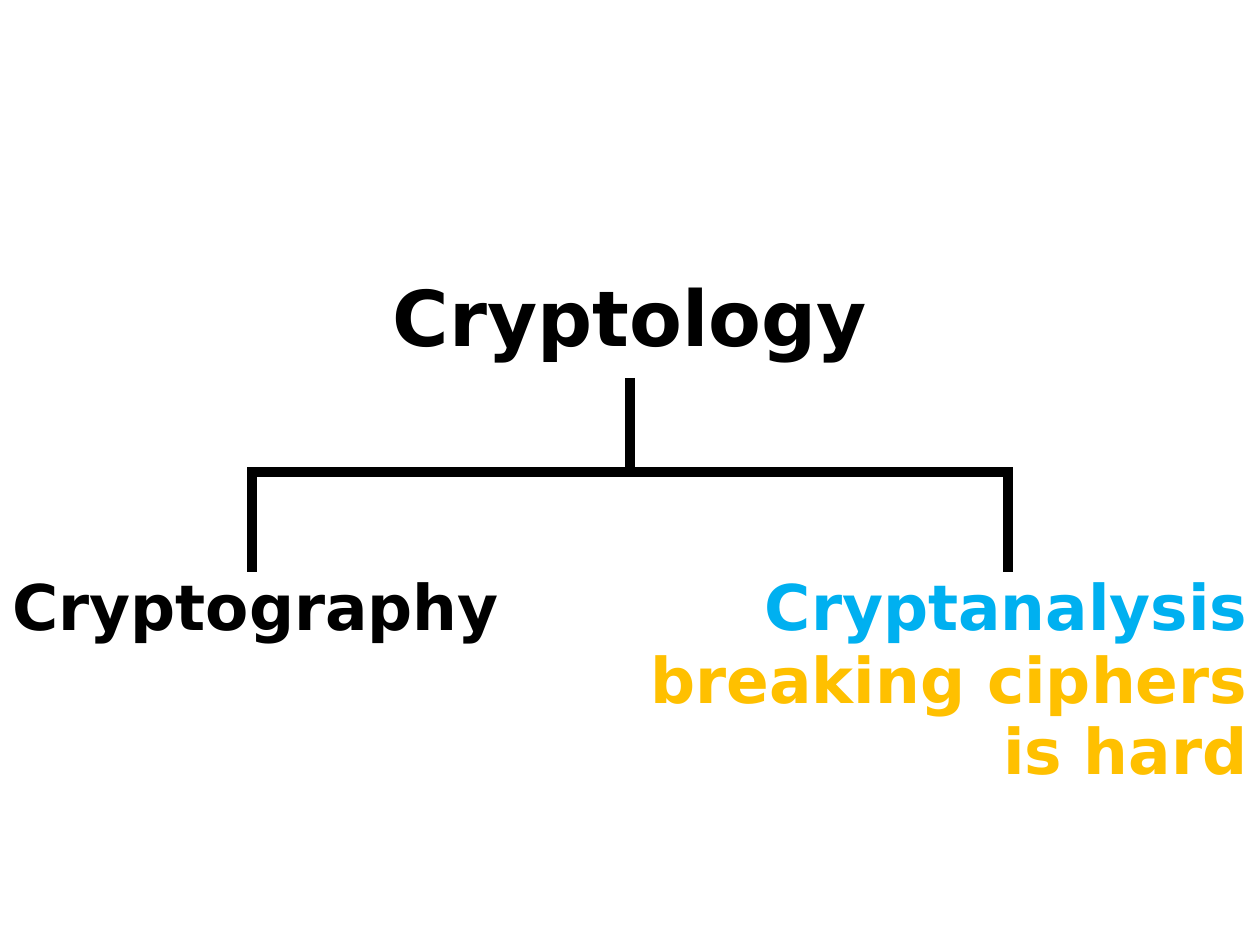
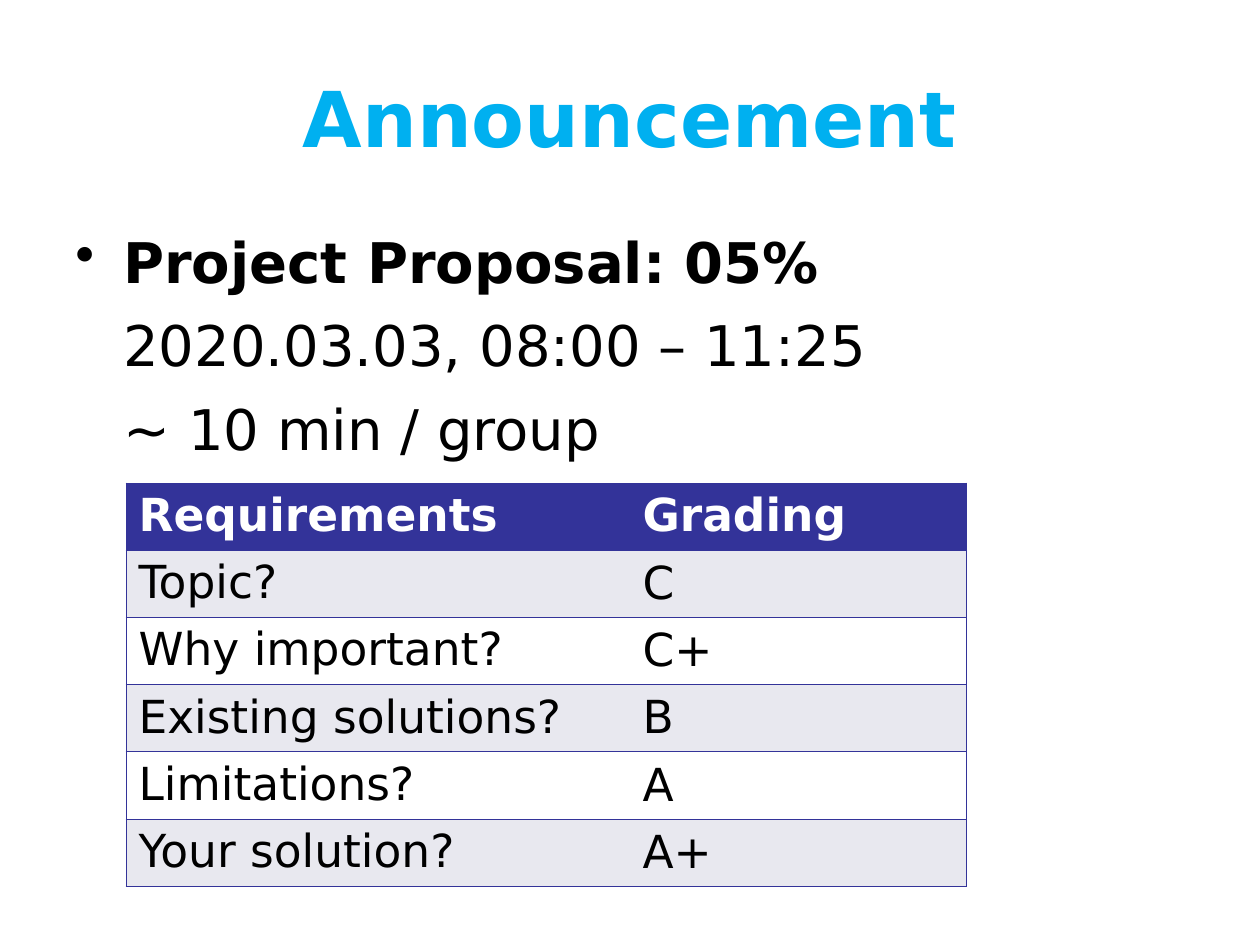
from lxml import etree
from pptx import Presentation
from pptx import util as u
from pptx.dml.color import RGBColor
from pptx.enum import shapes, text
from pptx.oxml import ns

PX = 914400 // 126
WIDTH, HEIGHT = 1260, 945
FONT = "DejaVu Sans"
COLORS = {
    "black": "000000",
    "white": "FFFFFF",
    "blue": "00B0F0",
    "amber": "FFC000",
    "navy": "333399",
    "band": "E8E8EF",
}
NO_TABLE_STYLE = "{2D5ABB26-0587-4C30-8999-92F81FD0307C}"
HEADING = {"size": 44, "bold": True}
BRANCH = {"size": 36, "bold": True}
LEFT, CENTER, RIGHT = text.PP_ALIGN.LEFT, text.PP_ALIGN.CENTER, text.PP_ALIGN.RIGHT
MIDDLE, TOP = text.MSO_ANCHOR.MIDDLE, text.MSO_ANCHOR.TOP


def emu(*lengths):
    return [u.Emu(n * PX) for n in lengths]


def rgb(name):
    return RGBColor.from_string(COLORS[name])


def add_xml(parent, tag, **attrs):
    return etree.SubElement(parent, ns.qn(tag), attrs)


def add_run(p, words, color="black", size=32, bold=False):
    r = p.add_run()
    r.text = words
    for name, value in {"name": FONT, "size": u.Pt(size), "bold": bold}.items():
        setattr(r.font, name, value)
    r.font.color.rgb = rgb(color)


def add_text_frame(s, box, anchor=MIDDLE):
    tf = s.shapes.add_textbox(*emu(*box)).text_frame
    for name, value in {"word_wrap": True, "vertical_anchor": anchor}.items():
        setattr(tf, name, value)
    return tf


def add_line_of_text(s, box, words, align, color, style):
    p = add_text_frame(s, box).paragraphs[0]
    p.alignment = align
    add_run(p, words, color, **style)


def format_line(line):
    line.color.rgb = rgb("black")
    line.width = u.Pt(6)


def add_fork(s, box, stem):
    """Draw a bracket open at the bottom, with a stem above its middle."""
    x, y, w, h = box
    builder = s.shapes.build_freeform(x, y + h, scale=PX)
    builder.add_line_segments([(x, y), (x + w, y), (x + w, y + h)], close=False)
    sp = builder.convert_to_shape()
    sp.shadow.inherit = False
    sp.fill.background()
    format_line(sp.line)
    add_xml(sp.line._get_or_add_ln(), "a:miter", lim="800000")

    mid = x + w // 2
    cxn = s.shapes.add_connector(
        shapes.MSO_CONNECTOR.STRAIGHT, *emu(mid, y - stem, mid, y))
    format_line(cxn.line)
    add_xml(cxn._element.spPr, "a:effectLst")


def add_bullet_list(s, box, heading, details):
    tf = add_text_frame(s, box, TOP)
    for i, words in enumerate([heading, *details]):
        p = tf.add_paragraph() if i else tf.paragraphs[0]
        pPr = p._p.get_or_add_pPr()
        pPr.set("marL", str(48 * PX))
        pPr.set("indent", str(0 if i else -48 * PX))
        if i:
            p.space_before = u.Pt(9.3)
        else:
            add_xml(add_xml(pPr, "a:buClr"), "a:srgbClr", val=COLORS["black"])
            add_xml(pPr, "a:buChar", char="•")
        add_run(p, words, bold=not i)


def add_cell_border(cell, *sides):
    tcPr = cell._tc.get_or_add_tcPr()
    for i, side in enumerate(sides):
        ln = etree.Element(ns.qn(f"a:ln{side}"), w=str(u.Pt(0.45)))
        add_xml(add_xml(ln, "a:solidFill"), "a:srgbClr", val=COLORS["navy"])
        tcPr.insert(i, ln)


def add_grading_table(s, box, rows, widths):
    frame = s.shapes.add_table(len(rows), len(widths), *emu(*box))
    table = frame.table
    table.first_row = table.horz_banding = False
    table._tbl.tblPr.find(ns.qn("a:tableStyleId")).text = NO_TABLE_STYLE
    for col, width in zip(table.columns, emu(*widths)):
        col.width = width
    for i, row in enumerate(rows):
        fill = "navy" if i == 0 else "band" if i % 2 else "white"
        table.rows[i].height = u.Emu(box[3] * PX // len(rows))
        for j, words in enumerate(row):
            cell = table.cell(i, j)
            cell.fill.solid()
            cell.fill.fore_color.rgb = rgb(fill)
            cell.vertical_anchor = MIDDLE if i and j else TOP
            add_cell_border(cell, "R" if j else "L", "T", "B")
            add_run(cell.text_frame.paragraphs[0], words,
                    color="black" if i else "white", size=26, bold=not i)


def build_cryptology(s):
    add_fork(s, (252, 472, 756, 100), stem=94)
    add_line_of_text(s, (0, 199, WIDTH, 234), "Cryptology", CENTER, "black", HEADING)
    branches = [
        (504, "Cryptography", LEFT, "black"),
        (504, "Cryptanalysis", RIGHT, "blue"),
        (577, "breaking ciphers", RIGHT, "amber"),
        (648, "is hard", RIGHT, "amber"),
    ]
    for y, words, align, color in branches:
        add_line_of_text(s, (0, y, WIDTH, 203), words, align, color, BRANCH)


def build_announcement(s):
    add_line_of_text(s, (0, 38, WIDTH, 157), "Announcement", CENTER, "blue", HEADING)
    add_bullet_list(s, (63, 221, 1197, 724), "Project Proposal: 05%",
                    ["2020.03.03, 08:00 – 11:25", "~ 10 min / group"])
    rows = [
        ("Requirements", "Grading"),
        ("Topic?", "C"),
        ("Why important?", "C+"),
        ("Existing solutions?", "B"),
        ("Limitations?", "A"),
        ("Your solution?", "A+"),
    ]
    add_grading_table(s, (126, 483, 840, 403), rows, (504, 336))


def main():
    prs = Presentation()
    prs.slide_width, prs.slide_height = emu(WIDTH, HEIGHT)
    for build in (build_cryptology, build_announcement):
        s = prs.slides.add_slide(prs.slide_layouts[6])
        s.background.fill.solid()
        s.background.fill.fore_color.rgb = rgb("white")
        build(s)
    prs.save("out.pptx")


if __name__ == "__main__":
    main()
